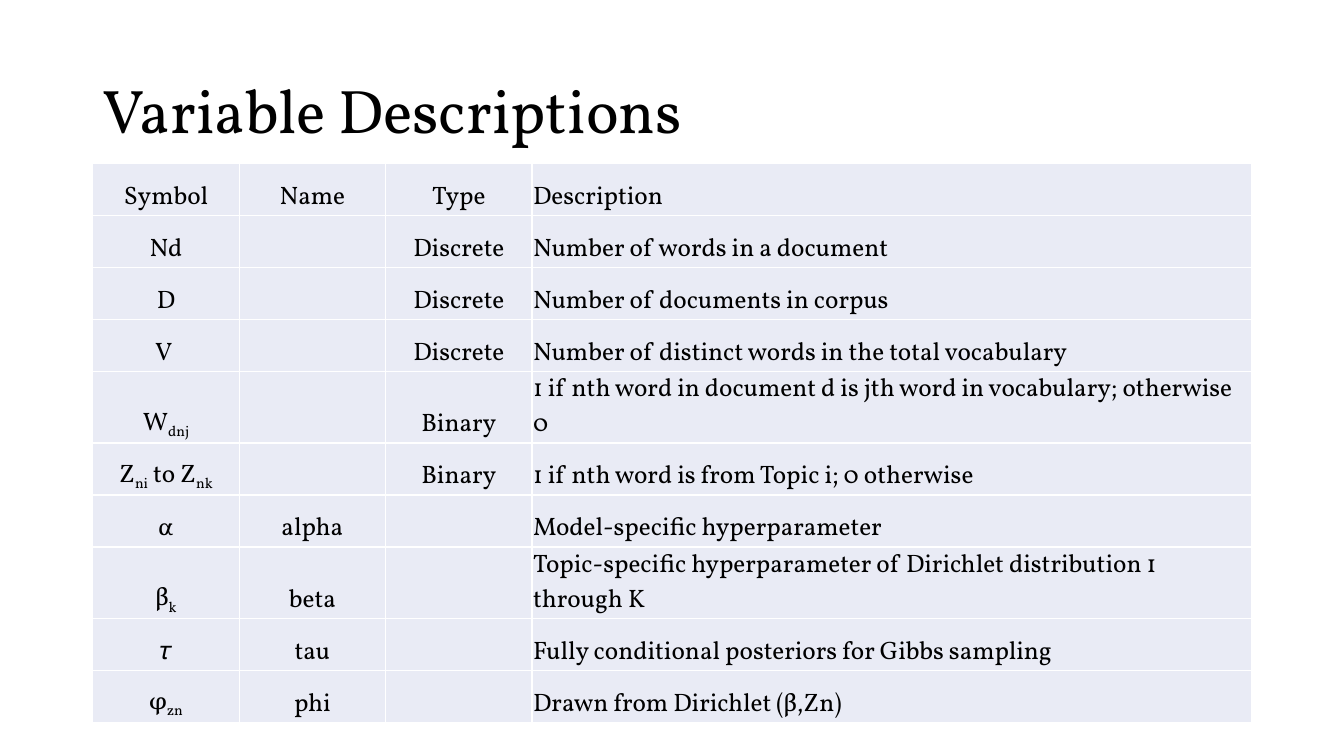
from dataclasses import dataclass

from lxml.etree import SubElement
from pptx import Presentation
from pptx.dml.color import RGBColor
from pptx.enum.text import MSO_ANCHOR, PP_ALIGN
from pptx.oxml.ns import qn
from pptx.slide import Slide
from pptx.table import _Cell
from pptx.text.text import Font
from pptx.util import Pt

FONT = "Vollkorn"
INK = "000000"
CELL_FILL = "E9EBF5"
BORDER = "FFFFFF"
LEFT, WIDTH = 66.24, 828
TABLE_TOP, ROW_HEIGHT = 117, 37.15
COLUMN_WIDTHS = (104.6, 104.6, 104.6, 514.2)


@dataclass(frozen=True)
class Variable:
    """One table row; text between tildes in the symbol is subscript."""
    symbol: str
    name: str
    kind: str
    description: str


ROWS = (
    Variable("Symbol", "Name", "Type", "Description"),
    Variable("Nd", "", "Discrete", "Number of words in a document"),
    Variable("D", "", "Discrete", "Number of documents in corpus"),
    Variable("V ", "", "Discrete", "Number of distinct words in the total vocabulary"),
    Variable("W~dnj~", "", "Binary",
             "1 if nth word in document d is jth word in vocabulary; otherwise 0"),
    Variable("Z~ni~ to Z~nk~", "", "Binary", "1 if nth word is from Topic i; 0 otherwise"),
    Variable("α", "alpha", "", "Model-specific hyperparameter"),
    Variable("β~k~", "beta", "",
             "Topic-specific hyperparameter of Dirichlet distribution 1 through K"),
    Variable("𝜏", "tau", "", "Fully conditional posteriors for Gibbs sampling"),
    Variable("φ~zn~", "phi", "", "Drawn from Dirichlet (β,Zn)"),
)


def color(value: str) -> RGBColor:
    return RGBColor.from_string(value)


def style_font(font: Font, size: float) -> None:
    font.name = FONT
    font.size = Pt(size)
    font.color.rgb = color(INK)


def add_borders(cell: _Cell) -> None:
    properties = cell._tc.get_or_add_tcPr()
    for side in ("a:lnL", "a:lnR", "a:lnT", "a:lnB"):
        line = SubElement(properties, qn(side), w=str(Pt(1)))
        fill = SubElement(line, qn("a:solidFill"))
        SubElement(fill, qn("a:srgbClr"), val=BORDER)


def fill_cell(cell: _Cell, text: str, alignment: PP_ALIGN) -> None:
    add_borders(cell)
    cell.fill.solid()
    cell.fill.fore_color.rgb = color(CELL_FILL)
    cell.vertical_anchor = MSO_ANCHOR.BOTTOM
    cell.margin_left = cell.margin_right = cell.margin_top = Pt(0.75)
    cell.margin_bottom = Pt(0)
    para = cell.text_frame.paragraphs[0]
    para.alignment = alignment
    style_font(para.font, 18)
    for index, part in enumerate(text.split("~")):
        if not part:
            continue
        run = para.add_run()
        run.text = part
        style_font(run.font, 18)
        if index % 2:
            run._r.get_or_add_rPr().set("baseline", "-25000")


def add_title(page: Slide) -> None:
    title = page.shapes.title
    title.left, title.top = Pt(LEFT), Pt(28.75)
    title.width, title.height = Pt(WIDTH), Pt(104.4)
    title.text_frame.text = "Variable Descriptions"
    title.text_frame.vertical_anchor = MSO_ANCHOR.MIDDLE
    para = title.text_frame.paragraphs[0]
    para.alignment = PP_ALIGN.LEFT
    para.line_spacing = 0.9
    style_font(para.runs[0].font, 44)


def add_variable_table(page: Slide) -> None:
    table = page.shapes.add_table(
        len(ROWS), len(COLUMN_WIDTHS), Pt(LEFT), Pt(TABLE_TOP),
        Pt(WIDTH), Pt(ROW_HEIGHT * len(ROWS))).table
    table.first_row = table.horz_banding = False
    for column, width in zip(table.columns, COLUMN_WIDTHS):
        column.width = Pt(width)
    for row, variable in zip(table.rows, ROWS):
        row.height = Pt(ROW_HEIGHT)
        texts = (variable.symbol, variable.name, variable.kind)
        for cell, text in zip(row.cells, texts):
            fill_cell(cell, text, PP_ALIGN.CENTER)
        fill_cell(row.cells[len(texts)], variable.description, PP_ALIGN.LEFT)


def main() -> None:
    deck = Presentation()
    deck.slide_width, deck.slide_height = Pt(960), Pt(540)
    page = deck.slides.add_slide(deck.slide_layouts.get_by_name("Title Only"))
    add_title(page)
    add_variable_table(page)
    deck.save("out.pptx")


if __name__ == "__main__":
    main()
